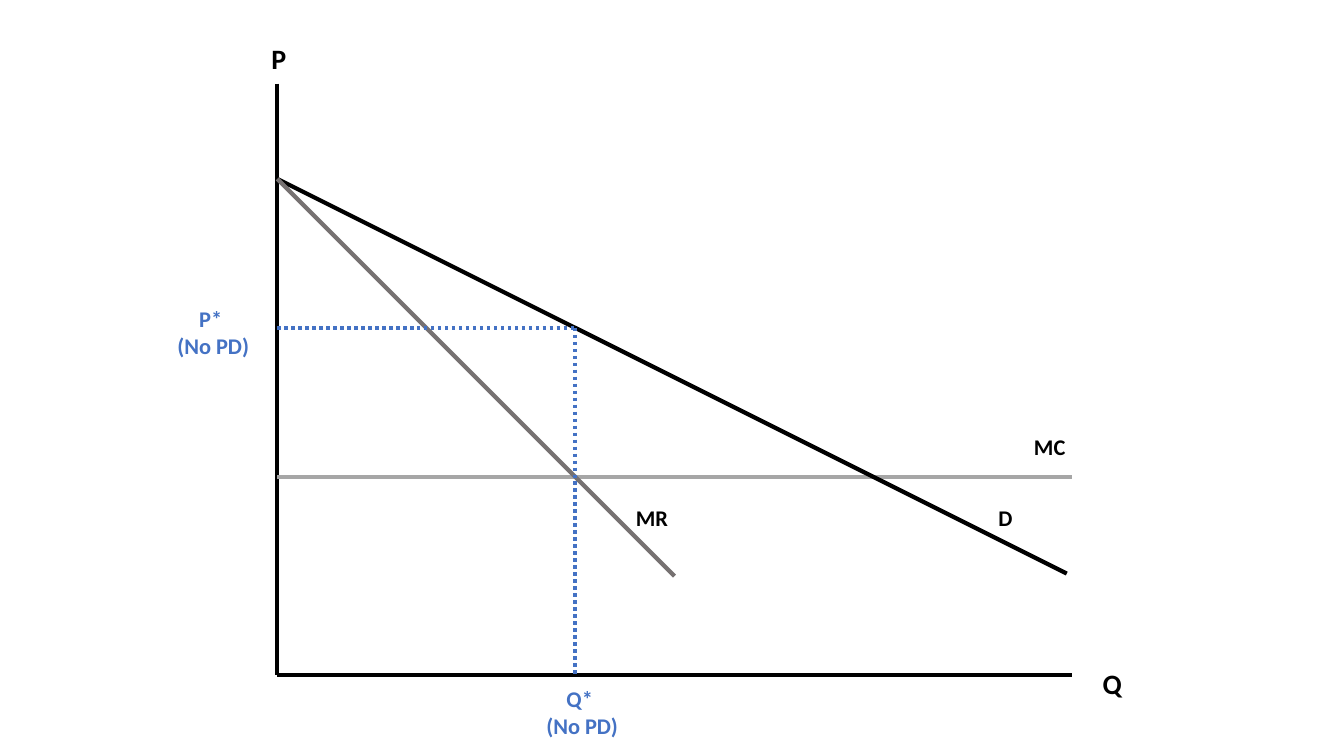
"""Build a monopoly pricing diagram with demand, marginal revenue and marginal cost."""
from dataclasses import dataclass
from typing import Optional

from lxml.etree import SubElement
from pptx import Presentation
from pptx.dml.color import RGBColor
from pptx.enum.dml import MSO_LINE as Dash
from pptx.enum.shapes import MSO_CONNECTOR as Connector, MSO_SHAPE as Preset
from pptx.enum.text import MSO_ANCHOR as Anchor, MSO_AUTO_SIZE as AutoSize, PP_ALIGN as Align
from pptx.oxml.ns import qn
from pptx.util import Inches, Pt

COLORS = {
    "black": "000000",
    "white": "FFFFFF",
    "cost": "A6A6A6",
    "revenue": "767171",
    "optimum": "4472C4",
}
FONT = "Calibri"
ORIGIN_X, ORIGIN_Y = 2.75, 6.7
UNIT = 7.88 / 8
INTERCEPT = 5
COST = 2
QUANTITY_END, DEMAND_END, REVENUE_END = 8, 7.95, 4
PRICE_END = 5.96
OPTIMAL_QUANTITY = INTERCEPT - COST
OPTIMAL_PRICE = INTERCEPT - OPTIMAL_QUANTITY / 2


@dataclass(frozen=True)
class Line:
    start: tuple[float, float]
    end: tuple[float, float]
    color: str = "black"
    width: float = 3
    dash: Optional[Dash] = None


@dataclass(frozen=True)
class Label:
    text: str
    column: float
    row: float
    columns: float
    rows: float = 0.38
    size: int = 16
    color: str = "black"
    align: Align = Align.LEFT
    fill: Optional[str] = None


def color_of(name: str) -> RGBColor:
    """Return the named colour."""
    return RGBColor.from_string(COLORS[name])


def place(column: float, row: float) -> tuple[Inches, Inches]:
    """Turn a quantity and a price into a position on the slide."""
    return Inches(ORIGIN_X + column * UNIT), Inches(ORIGIN_Y - row * UNIT)


def draw_line(slide, line: Line) -> None:
    """Draw one straight line of the diagram."""
    connector = slide.shapes.add_connector(
        Connector.STRAIGHT, *place(*line.start), *place(*line.end)
    )
    connector.line.color.rgb = color_of(line.color)
    connector.line.width = Pt(line.width)
    if line.dash is not None:
        connector.line.dash_style = line.dash
    SubElement(connector._element.spPr, qn("a:effectLst"))


def write_text(frame, text: str, *, size: int, color: str, align: Align) -> None:
    """Write bold paragraphs, one for each line of text."""
    frame.word_wrap = True
    frame.auto_size = AutoSize.SHAPE_TO_FIT_TEXT
    for index, words in enumerate(text.split("\n")):
        paragraph = frame.add_paragraph() if index else frame.paragraphs[0]
        paragraph.alignment = align
        run = paragraph.add_run()
        run.text = words
        run.font.name = FONT
        run.font.size = Pt(size)
        run.font.bold = True
        run.font.color.rgb = color_of(color)


def draw_label(slide, label: Label) -> None:
    """Draw one label, on a filled rectangle if it has a fill."""
    box = (
        *place(label.column, label.row),
        Inches(label.columns * UNIT),
        Inches(label.rows * UNIT),
    )
    if label.fill:
        shape = slide.shapes.add_shape(Preset.RECTANGLE, *box)
        shape.shadow.inherit = False
        shape.fill.solid()
        shape.fill.fore_color.rgb = color_of(label.fill)
        shape.line.fill.background()
        shape.text_frame.vertical_anchor = Anchor.MIDDLE
    else:
        shape = slide.shapes.add_textbox(*box)
    write_text(
        shape.text_frame, label.text, size=label.size, color=label.color, align=label.align
    )


GUIDE = {"color": "optimum", "width": 2.5, "dash": Dash.ROUND_DOT}
OPTIMUM = {"rows": 0.65, "color": "optimum", "align": Align.CENTER}
AXIS_NAME = {"rows": 0.45, "size": 20}

LINES = [
    Line((0, PRICE_END), (0, 0)),
    Line((QUANTITY_END, 0), (0, 0)),
    Line((0, COST), (QUANTITY_END, COST), "cost", 2.5),
    Line((0, INTERCEPT), (DEMAND_END, INTERCEPT - DEMAND_END / 2)),
    Line((0, INTERCEPT), (REVENUE_END, INTERCEPT - REVENUE_END), "revenue"),
    Line((0, OPTIMAL_PRICE), (OPTIMAL_QUANTITY, OPTIMAL_PRICE), **GUIDE),
    Line((OPTIMAL_QUANTITY, OPTIMAL_PRICE), (OPTIMAL_QUANTITY, 0), **GUIDE),
]
LABELS = [
    Label("MR", 3.51, 1.77, 0.61),
    Label("D", 7.16, 1.77, 1.02),
    Label("MC", 7.52, 2.49, 0.61),
    Label("Q* \n(No PD)", 2.37, -0.05, 1.4, **OPTIMUM),
    Label("P", -0.16, 6.43, 0.59, **AXIS_NAME),
    Label("Q", 8.21, 0.14, 0.5, **AXIS_NAME),
    Label("P* \n(No PD)", -1.2, 3.78, 1.11, fill="white", **OPTIMUM),
]


def main() -> None:
    """Build and save the presentation."""
    presentation = Presentation()
    presentation.slide_width, presentation.slide_height = Inches(13.33), Inches(7.5)
    slide = presentation.slides.add_slide(presentation.slide_layouts[6])
    for line in LINES:
        draw_line(slide, line)
    for label in LABELS:
        draw_label(slide, label)
    presentation.save("out.pptx")


main()
